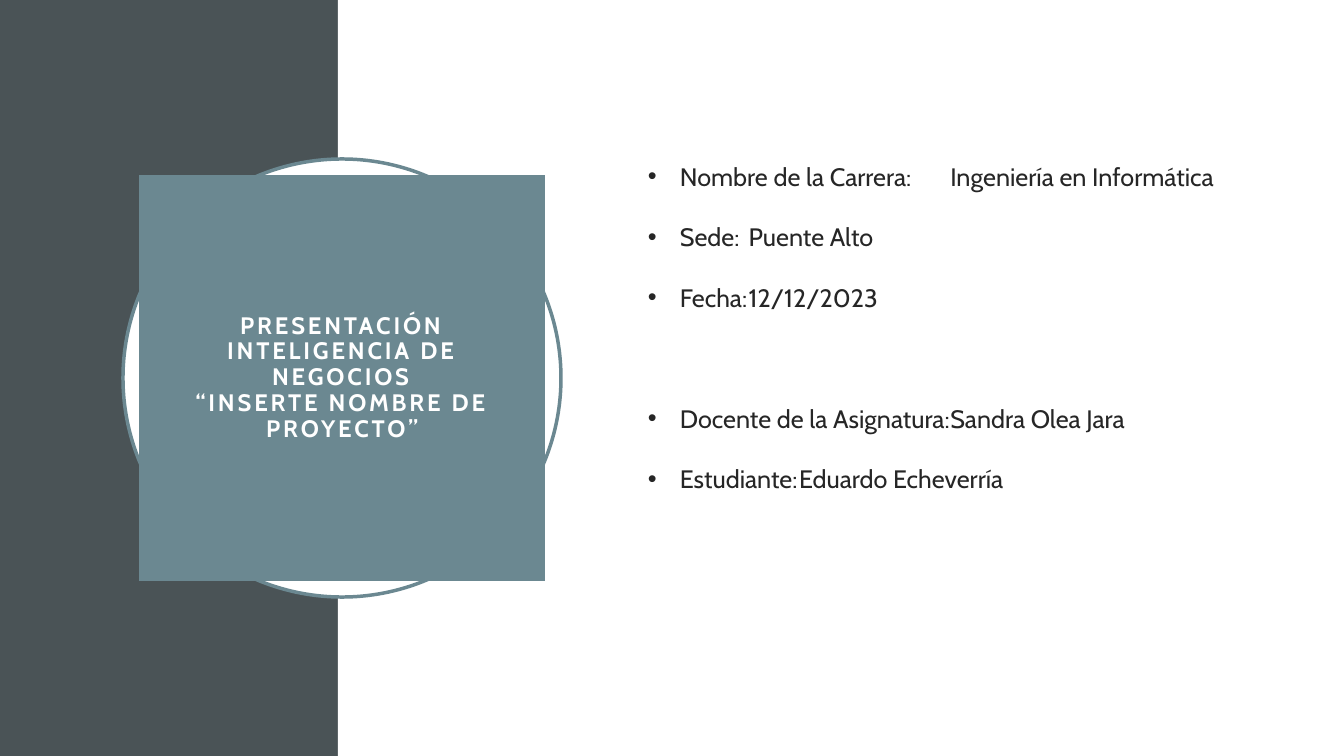
from lxml import etree
from pptx import Presentation
from pptx.dml.color import RGBColor
from pptx.enum.shapes import MSO_SHAPE
from pptx.enum.text import MSO_ANCHOR, MSO_AUTO_SIZE, PP_ALIGN
from pptx.oxml.ns import qn
from pptx.util import Pt

RECTANGLE, OVAL = MSO_SHAPE.RECTANGLE, MSO_SHAPE.OVAL
MIDDLE, CENTER = MSO_ANCHOR.MIDDLE, PP_ALIGN.CENTER
NO_AUTOFIT = MSO_AUTO_SIZE.NONE

WIDTH, HEIGHT = 1344, 756
EMU_PER_PX = 12192000 / WIDTH
LINE_POINTS = 21.6

TITLE = "PRESENTACIÓN INTELIGENCIA DE NEGOCIOS\v“INSERTE NOMBRE DE PROYECTO”"
# Each detail: label, value, empty lines above it
DETAILS = [
    ("Nombre de la Carrera:", "Ingeniería en Informática", 0),
    ("Sede:", "Puente Alto", 1),
    ("Fecha:", "12/12/2023", 1),
    ("Docente de la Asignatura:", "Sandra Olea Jara", 3),
    ("Estudiante:", "Eduardo Echeverría", 1),
]


def px(length):
    return round(length * EMU_PER_PX)


def color(value):
    return RGBColor.from_string(value)


class CoverSlide:
    font = "Cabin"
    slate = "4A5356"
    teal = "6B8891"
    white = "FFFFFF"
    ink = "262626"

    def __init__(self, deck):
        self.page = deck.slides.add_slide(deck.slide_layouts[5])

    def shape(self, kind, left, top, width, height, fill, line=None):
        shape = self.page.shapes.add_shape(
            kind, px(left), px(top), px(width), px(height))
        shape.shadow.inherit = False
        shape.fill.solid()
        shape.fill.fore_color.rgb = color(fill)
        if line:
            shape.line.color.rgb = color(line)
            shape.line.width = Pt(2.5)
        else:
            shape.line.fill.background()

    def format_spans(self, para, size, ink, bold=False):
        for span in para.runs:
            span.font.name = self.font
            span.font.size = Pt(size)
            span.font.bold = bold
            span.font.color.rgb = color(ink)

    def title(self, text, left, top, width, height):
        box = self.page.shapes.title
        box.left, box.top = px(left), px(top)
        box.width, box.height = px(width), px(height)
        box.fill.solid()
        box.fill.fore_color.rgb = color(self.teal)
        frame = box.text_frame
        frame.word_wrap = True
        frame.auto_size = NO_AUTOFIT
        frame.vertical_anchor = MIDDLE
        frame.margin_left = frame.margin_right = px(45)
        para = frame.paragraphs[0]
        para.text = text
        para.alignment = CENTER
        para.line_spacing = 0.9
        self.format_spans(para, 17, self.white, bold=True)
        for span in para.runs:
            span.font._element.set("spc", "200")
        # Bring the title in front of the ring
        self.page.shapes._spTree.append(box._element)

    def bullets(self, details, left, top, width, height):
        box = self.page.shapes.add_textbox(
            px(left), px(top), px(width), px(height))
        frame = box.text_frame
        frame.word_wrap = True
        frame.margin_top = px(35)
        for index, (label, value, gap) in enumerate(details):
            para = frame.add_paragraph() if index else frame.paragraphs[0]
            para.text = f"{label}\t{value}"
            para.space_before = Pt(gap * LINE_POINTS)
            self.format_spans(para, 18, self.ink)
            properties = para._p.get_or_add_pPr()
            properties.set("marL", str(px(32)))
            properties.set("indent", str(px(-32)))
            properties.set("defTabSz", "457200")
            etree.SubElement(properties, qn("a:buFont"), typeface="Arial")
            etree.SubElement(properties, qn("a:buChar"), char="•")


def main():
    deck = Presentation()
    deck.slide_width, deck.slide_height = px(WIDTH), px(HEIGHT)
    cover = CoverSlide(deck)

    # Background panels
    cover.shape(RECTANGLE, 0, 0, 338, HEIGHT, cover.slate)
    cover.shape(RECTANGLE, 338, 0, WIDTH - 338, HEIGHT, cover.white)

    # Ring and title square
    cover.shape(OVAL, 123, 159, 438, 438, cover.white, cover.teal)
    cover.title(TITLE, 139, 175, 406, 406)

    # Project details
    cover.bullets(DETAILS, 638, 126, 629, 377)

    deck.save("out.pptx")


if __name__ == "__main__":
    main()
